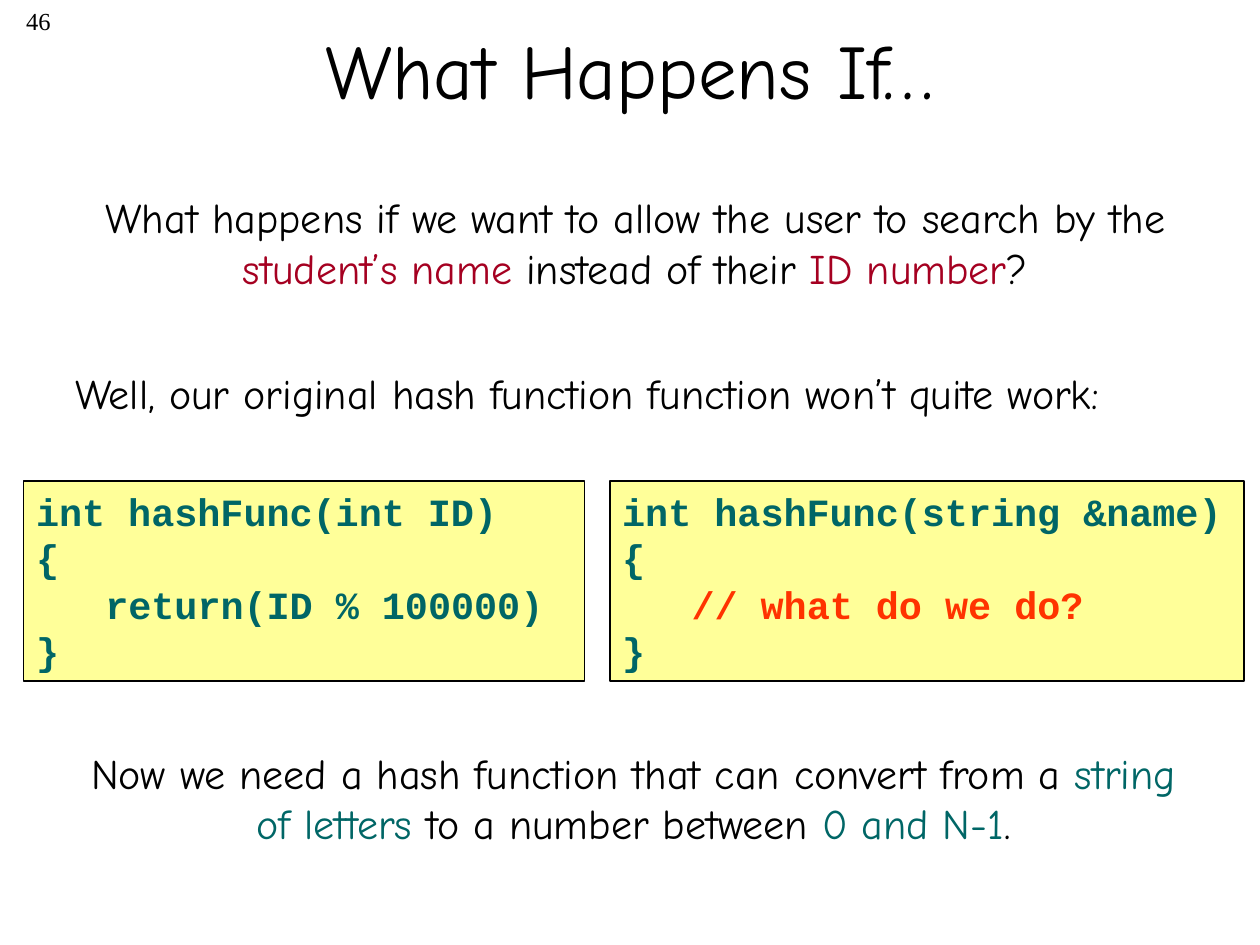
from dataclasses import dataclass

import pptx
import pptx.dml.color
import pptx.enum.shapes
import pptx.enum.text
import pptx.util

Pt = pptx.util.Pt
Align = pptx.enum.text.PP_ALIGN
Anchor = pptx.enum.text.MSO_ANCHOR


@dataclass(frozen=True)
class Theme:
    black: str = "000000"
    crimson: str = "A50021"
    teal: str = "006666"
    red: str = "FF3300"
    code_fill: str = "FFFF99"
    text_font: str = "Comic Neue"
    code_font: str = "Courier New"
    number_font: str = "Times New Roman"
    title_size: float = 44
    text_size: float = 24
    code_size: float = 22
    number_size: float = 14
    code_line: float = 26.6
    code_indent: float = 39.6  # three characters of code


THEME = Theme()


@dataclass(frozen=True)
class Box:
    left: float
    top: float
    width: float
    height: float


@dataclass(frozen=True)
class Run:
    text: str
    color: str = THEME.black


@dataclass(frozen=True)
class TextBlock:
    box: Box
    runs: tuple[Run, ...]
    size: float = THEME.text_size
    font: str = THEME.text_font
    align: Align = Align.CENTER
    anchor: Anchor = Anchor.TOP


@dataclass(frozen=True)
class CodeBlock:
    box: Box
    signature: str
    body: Run


TEXT_BLOCKS = (
    TextBlock(Box(0, 0, 36, 36), (Run("46"),), THEME.number_size,
              THEME.number_font, Align.RIGHT),
    TextBlock(Box(54, -6, 612, 90), (Run("What Happens If…"),),
              THEME.title_size, anchor=Anchor.MIDDLE),
    TextBlock(Box(30, 106, 666, 65.5), (
        Run("What happens if we want to allow the user to search by the "),
        Run("student’s name", THEME.crimson),
        Run(" instead of their "),
        Run("ID number", THEME.crimson),
        Run("?"),
    )),
    TextBlock(Box(36, 206.5, 659.5, 36), (
        Run("Well, our original hash function function won’t quite work:"),
    ), align=Align.LEFT),
    TextBlock(Box(34.5, 423.5, 655, 65), (
        Run("Now we need a hash function that can convert from a "),
        Run("string of letters", THEME.teal),
        Run(" to a number between "),
        Run("0 and N-1", THEME.teal),
        Run("."),
    )),
)

CODE_BLOCKS = (
    CodeBlock(Box(13.5, 275, 320.5, 114), "int hashFunc(int ID)",
              Run("return(ID % 100000)", THEME.teal)),
    CodeBlock(Box(348.5, 275, 362.5, 114), "int hashFunc(string &name)",
              Run("// what do we do?", THEME.red)),
)


def apply_format(target, values: dict) -> None:
    for name, value in values.items():
        setattr(target, name, value)


def lengths(box: Box) -> tuple:
    return Pt(box.left), Pt(box.top), Pt(box.width), Pt(box.height)


def rgb(color: str) -> pptx.dml.color.RGBColor:
    return pptx.dml.color.RGBColor.from_string(color)


def add_run(paragraph, run: Run, font: str, size: float, bold: bool = False) -> None:
    text_run = paragraph.add_run()
    text_run.text = run.text
    apply_format(text_run.font, {"name": font, "size": Pt(size), "bold": bold})
    text_run.font.color.rgb = rgb(run.color)


def add_text_block(slide, block: TextBlock) -> None:
    frame = slide.shapes.add_textbox(*lengths(block.box)).text_frame
    apply_format(frame, {"word_wrap": True, "vertical_anchor": block.anchor})
    paragraph = frame.paragraphs[0]
    paragraph.alignment = block.align
    for run in block.runs:
        add_run(paragraph, run, block.font, block.size)


def add_code_block(slide, block: CodeBlock) -> None:
    shape = slide.shapes.add_shape(
        pptx.enum.shapes.MSO_SHAPE.RECTANGLE, *lengths(block.box))
    shape.shadow.inherit = False
    shape.fill.solid()
    shape.fill.fore_color.rgb = rgb(THEME.code_fill)
    shape.line.color.rgb = rgb(THEME.black)
    shape.line.width = Pt(1)
    frame = shape.text_frame
    apply_format(frame, {"word_wrap": True, "vertical_anchor": Anchor.TOP})
    lines = (Run(block.signature, THEME.teal), Run("{", THEME.teal),
             block.body, Run("}", THEME.teal))
    for index, line in enumerate(lines):
        paragraph = frame.add_paragraph() if index else frame.paragraphs[0]
        apply_format(paragraph, {"alignment": Align.LEFT,
                                 "line_spacing": Pt(THEME.code_line)})
        if line is block.body:
            properties = paragraph._p.get_or_add_pPr()
            properties.set("marL", str(Pt(THEME.code_indent)))
        add_run(paragraph, line, THEME.code_font, THEME.code_size, bold=True)


def main() -> None:
    presentation = pptx.Presentation()
    apply_format(presentation, {"slide_width": Pt(720), "slide_height": Pt(540)})
    slide = presentation.slides.add_slide(presentation.slide_layouts[6])
    for block in TEXT_BLOCKS:
        add_text_block(slide, block)
    for block in CODE_BLOCKS:
        add_code_block(slide, block)
    presentation.save("out.pptx")


if __name__ == "__main__":
    main()
